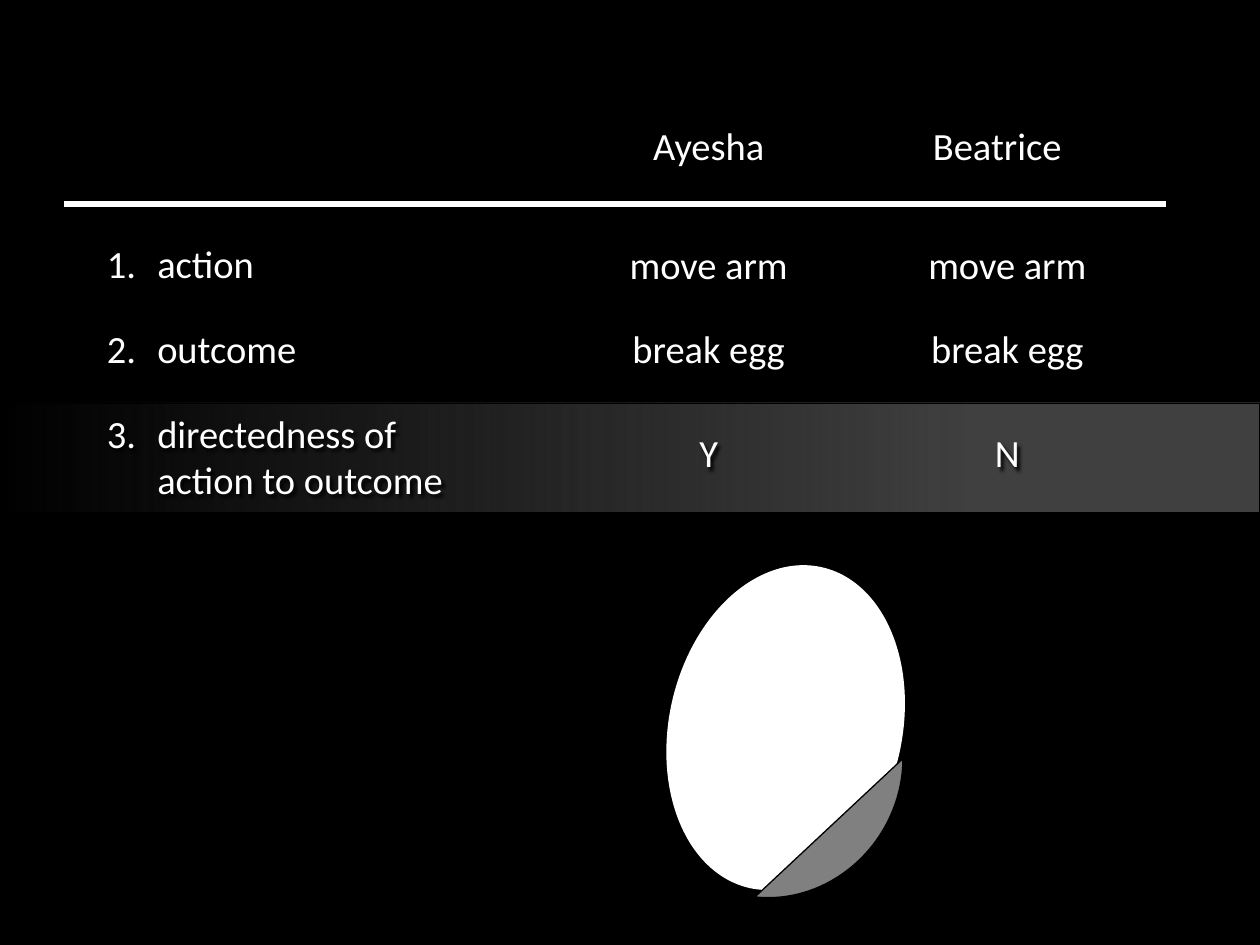
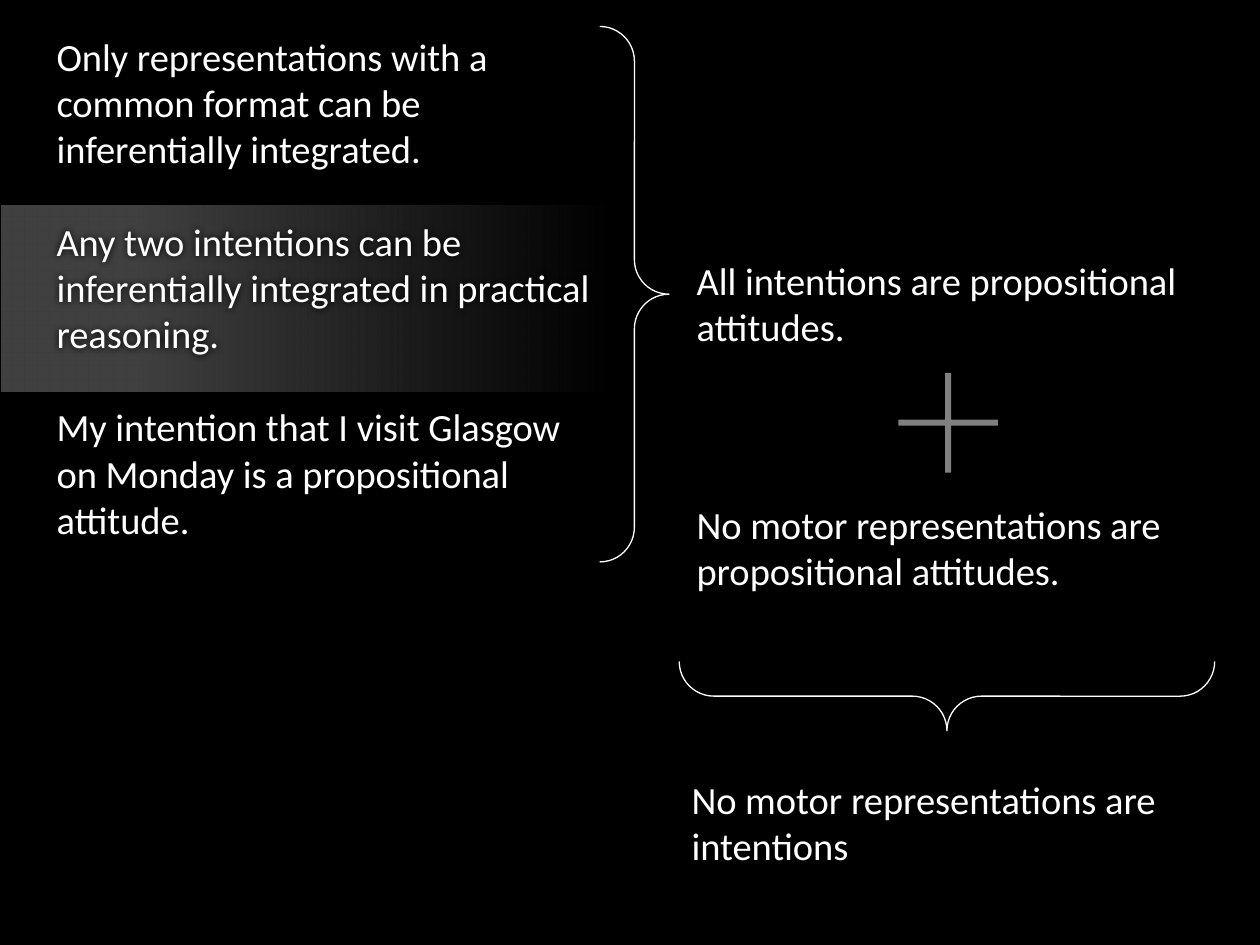
from lxml.etree import SubElement
from pptx import Presentation
from pptx.dml.color import RGBColor
from pptx.enum.shapes import MSO_CONNECTOR, MSO_SHAPE
from pptx.enum.text import MSO_AUTO_SIZE, PP_ALIGN
from pptx.oxml.ns import qn
from pptx.util import Inches, Pt

BLACK, WHITE, GREY, BAND = "000000", "FFFFFF", "808080", "404040"
FONT, SIZE = "Calibri", 22
BLANK_LINE = 26.8  # points, one line of text at SIZE

FACTORS = ["1.\taction", "2.\toutcome", "3.\tdirectedness of action to outcome"]
AGENTS = [
    # name, left of name, answers, left of answers
    ("Ayesha", 4.76, ["move arm", "break egg", "Y"], 4.76),
    ("Beatrice", 7.05, ["move arm", "break egg", "N"], 7.13),
]
PREMISES = [
    "Only representations with a common format can be inferentially integrated.",
    "Any two intentions can be inferentially integrated in practical reasoning.",
    "My intention that I visit Glasgow on Monday is a propositional attitude.",
]
CONCLUSIONS = [
    ("All intentions are propositional attitudes.", (5.43, 1.99, 4.49, 0.84)),
    ("No motor representations are propositional attitudes.", (5.43, 3.93, 4.49, 0.84)),
    ("No motor representations are intentions", (5.39, 6.11, 4.33, 0.84)),
]
BRACES = [((4.76, 0.21, 0.55, 4.25), 0), ((7.24, 3.4, 0.55, 4.25), 90)]


def color(hex_code):
    return RGBColor.from_string(hex_code)


def inches(box):
    return [Inches(length) for length in box]


def add_slide(prs):
    slide = prs.slides.add_slide(prs.slide_layouts[6])
    slide.background.fill.solid()
    slide.background.fill.fore_color.rgb = color(BLACK)
    return slide


def add_text(slide, paragraphs, box, align=PP_ALIGN.LEFT, after=0, hanging=0,
             last_before=0, shadow=None):
    """shadow is (blur, distance) in points, cast by the letters."""
    textbox = slide.shapes.add_textbox(*inches(box))
    frame = textbox.text_frame
    frame.word_wrap = True
    frame.auto_size = MSO_AUTO_SIZE.SHAPE_TO_FIT_TEXT
    for i, words in enumerate(paragraphs):
        paragraph = frame.add_paragraph() if i else frame.paragraphs[0]
        paragraph.alignment = align
        paragraph.space_after = Pt(after)
        if last_before and i == len(paragraphs) - 1:
            paragraph.space_before = Pt(last_before)
        if hanging:
            properties = paragraph._p.get_or_add_pPr()
            properties.set("marL", str(Inches(hanging)))
            properties.set("indent", str(-Inches(hanging)))
        run = paragraph.add_run()
        run.text = words
        run.font.name, run.font.size = FONT, Pt(SIZE)
        run.font.color.rgb = color(WHITE)
    if shadow:
        blur, distance = shadow
        effects = SubElement(textbox._element.spPr, qn("a:effectLst"))
        outer = SubElement(effects, qn("a:outerShdw"), blurRad=str(Pt(blur)),
                           dist=str(Pt(distance)), dir="2700000", algn="ctr")
        SubElement(outer, qn("a:srgbClr"), val=BLACK)


def add_figure(slide, preset, box, fill=None, line=None, rotation=0, adjust=()):
    shape = slide.shapes.add_shape(preset, *inches(box))
    shape.shadow.inherit = False
    shape.rotation = rotation
    for i, value in enumerate(adjust):
        shape.adjustments[i] = value
    if fill:
        shape.fill.solid()
        shape.fill.fore_color.rgb = color(fill)
    else:
        shape.fill.background()
    if line:
        shape.line.color.rgb = color(line)
        shape.line.width = Pt(0.75)
    else:
        shape.line.fill.background()
    return shape


def add_fading_band(slide, box, stops):
    """stops are (position in percent, opacity in percent), left to right."""
    band = add_figure(slide, MSO_SHAPE.RECTANGLE, box, line=BLACK)
    band.fill.gradient()
    band.fill.gradient_angle = 0
    stop_list = band._element.spPr.find(qn("a:gradFill")).find(qn("a:gsLst"))
    for old_stop in list(stop_list):
        stop_list.remove(old_stop)
    for position, opacity in stops:
        stop = SubElement(stop_list, qn("a:gs"), pos=str(position * 1000))
        tint = SubElement(stop, qn("a:srgbClr"), val=BAND)
        if opacity < 100:
            SubElement(tint, qn("a:alpha"), val=str(opacity * 1000))


def add_rule(slide, left, right, top):
    rule = slide.shapes.add_connector(
        MSO_CONNECTOR.STRAIGHT, *inches((left, top, right, top)))
    rule.line.color.rgb = color(WHITE)
    rule.line.width = Pt(3)
    SubElement(rule._element.spPr, qn("a:effectLst"))


def build_comparison(prs):
    slide = add_slide(prs)
    add_fading_band(slide, (0, 3.2, 10, 0.87), [(0, 0), (77, 100), (100, 100)])
    row_format = dict(after=22, shadow=(2, 2))
    add_text(slide, FACTORS, (0.75, 1.86, 3.07, 2.2), hanging=0.4, **row_format)
    for name, name_left, answers, answers_left in AGENTS:
        add_text(slide, answers, (answers_left, 1.86, 1.73, 1.99),
                 align=PP_ALIGN.CENTER, last_before=11, **row_format)
        add_text(slide, [name], (name_left, 0.92, 1.73, 0.47), align=PP_ALIGN.CENTER)
    add_rule(slide, 0.51, 9.25, 1.62)
    add_figure(slide, MSO_SHAPE.OVAL, (5.31, 4.47, 1.85, 2.61), fill=WHITE, rotation=12.7)
    # chord angles are in 60000ths of a degree, adjustments in 100000ths
    add_figure(slide, MSO_SHAPE.CHORD, (5.09, 5.08, 2.13, 1.99), fill=GREY, line=BLACK,
               rotation=298.8, adjust=[degrees * 0.6 for degrees in (58.11, 160.05)])


def build_argument(prs):
    slide = add_slide(prs)
    add_fading_band(slide, (0, 1.62, 4.84, 1.5), [(0, 100), (23, 100), (100, 0)])
    add_text(slide, PREMISES, (0.35, 0.21, 4.49, 4.17), after=BLANK_LINE, shadow=(4, 0))
    for claim, box in CONCLUSIONS:
        add_text(slide, [claim], box)
    for box, rotation in BRACES:
        add_figure(slide, MSO_SHAPE.RIGHT_BRACE, box, line=WHITE,
                   rotation=rotation, adjust=(0.5, 0.5))
    add_figure(slide, MSO_SHAPE.CROSS, (7.13, 2.96, 0.79, 0.79), fill=GREY, adjust=[0.47])


def main():
    prs = Presentation()
    prs.slide_width, prs.slide_height = Inches(10), Inches(7.5)
    build_comparison(prs)
    build_argument(prs)
    prs.save("out.pptx")


if __name__ == "__main__":
    main()
